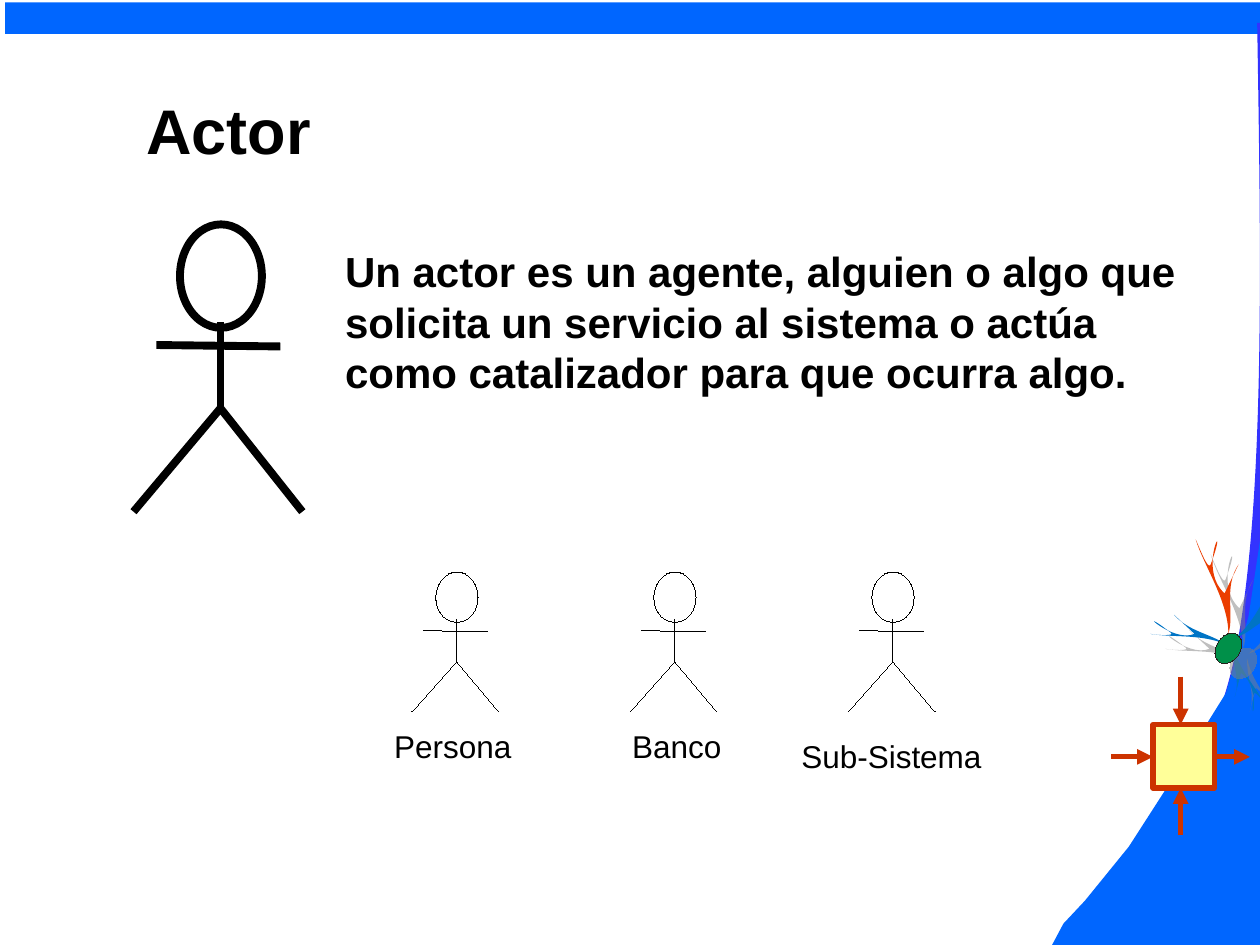
from collections import namedtuple
from dataclasses import dataclass
from math import cos, radians, sin

from lxml.etree import SubElement
from pptx import Presentation
from pptx.dml.color import RGBColor
from pptx.enum.shapes import MSO_CONNECTOR, MSO_SHAPE
from pptx.enum.text import MSO_ANCHOR, MSO_AUTO_SIZE
from pptx.oxml.ns import qn
from pptx.util import Pt

Box = namedtuple("Box", "left top width height")


@dataclass(frozen=True)
class Theme:
    """Colours, type sizes and line widths of the slide."""
    font: str = "Arial"
    ink: str = "000000"
    blue: str = "0066FF"
    violet: str = "3333FF"
    red: str = "CC3300"
    yellow: str = "FFFF99"
    orange: str = "EB3D00"
    petal: str = "0074C5"
    green: str = "009049"
    rim: str = "25221E"
    shade: str = "808080"
    title: int = 36
    body: int = 24
    label: int = 18
    bold_line: float = 4.5
    arrow_line: float = 3
    ribbon_line: float = 6
    hairline: float = 0


THEME = Theme()
TILT = 302.5

PETALS = [
    (THEME.orange, (33.3, 8.2), [
        (34.7, 11, 40.5, 26.9, 41.9, 22.6), (53.4, -9.1, 33.3, 24, 49.8, 39.1),
        (57.8, 22.6), (49.1, 35.5, 55.6, 50.6, 52, 62.2),
        (52, 43.4, 37.6, 22.6, 33.3, 8.2)]),
    (THEME.petal, (83.7, 21.8), [
        (83, 24, 74.3, 37, 79.4, 35.5), (113.9, 25.4, 70.7, 30.5, 71.4, 49.9),
        (91.6, 47), (75, 48.5, 67.1, 60.7, 54.9, 65),
        (70, 54.2, 75, 32.6, 83.7, 21.8)]),
    (THEME.petal, (7.4, 62.2), [
        (10.2, 62.9, 22.5, 63.6, 18.9, 61.4), (-3.4, 44.2, 19.6, 67.9, 32.6, 62.2),
        (21, 51.4), (29, 60.7, 41.9, 62.2, 49.8, 67.9),
        (36.2, 62.2, 18.9, 64.3, 7.4, 62.2)]),
    (THEME.petal, (75, 106.1), [
        (73.6, 103.9, 67.1, 93.1, 66.4, 96.7), (63.5, 121.2, 72.2, 93.8, 59.2, 84.5),
        (55.6, 98.2), (59.2, 88.1, 53.4, 77.3, 54.2, 67.9),
        (57, 82.3, 70, 95.3, 75, 106.1)]),
]


def set_line(line, colour, width):
    """Set the colour and width of a line, writing a zero width too."""
    line.color.rgb = RGBColor.from_string(colour)
    line._get_or_add_ln().set("w", str(Pt(width)))


def paint(shape, fill=None, line=None, width=0):
    """Set the fill and outline of a shape and remove its shadow."""
    shape.shadow.inherit = False
    if fill:
        shape.fill.solid()
        shape.fill.fore_color.rgb = RGBColor.from_string(fill)
    else:
        shape.fill.background()
    if line:
        set_line(shape.line, line, width)
    else:
        shape.line.fill.background()
    return shape


def cast_shadow(shape):
    """Give a shape a hard, half transparent shadow to the lower right."""
    effects = shape._element.spPr.find(qn("a:effectLst"))
    shadow = SubElement(effects, qn("a:outerShdw"), dist=str(Pt(12.1)),
                        dir="2700000", algn="ctr", rotWithShape="0")
    colour = SubElement(shadow, qn("a:srgbClr"), val=THEME.shade)
    SubElement(colour, qn("a:alpha"), val="50000")


def add_preset(page, kind, box, **style):
    """Add a painted preset shape."""
    return paint(page.shapes.add_shape(kind, *(Pt(value) for value in box)), **style)


def add_line(page, start, end, colour, width, arrow=False):
    """Add a straight line, with an arrowhead at its end if asked."""
    line = page.shapes.add_connector(
        MSO_CONNECTOR.STRAIGHT, *(Pt(value) for value in (*start, *end)))
    set_line(line.line, colour, width)
    if arrow:
        SubElement(line.line._get_or_add_ln(), qn("a:tailEnd"), type="triangle")
    SubElement(line._element.spPr, qn("a:effectLst"))


def turn(points, degrees):
    """Turn points clockwise about the zero point."""
    c, s = cos(radians(degrees)), sin(radians(degrees))
    return [(x * c - y * s, x * s + y * c) for x, y in points]


def pair_up(segment):
    """Split a flat segment into its points."""
    return list(zip(segment[::2], segment[1::2]))


def add_outline(page, box, start, segments, close=False, **style):
    """Add a freeform of lines (two numbers) and cubic curves (six numbers)."""
    points = [point for segment in segments for point in pair_up(segment)]
    spots = [(Pt(box.left + x), Pt(box.top + y)) for x, y in [start, *points]]
    builder = page.shapes.build_freeform(*spots[0])
    builder.add_line_segments(spots[1:], close=close)
    shape = builder.convert_to_shape()
    steps = iter(list(shape._element.iter(qn("a:lnTo"))))
    for segment in segments:
        first = next(steps)
        if len(segment) == 6:
            first.tag = qn("a:cubicBezTo")
            for step in (next(steps), next(steps)):
                first.append(step[0])
                step.getparent().remove(step)
    return paint(shape, **style)


def add_text(page, box, lines, size, bold=False, anchor=MSO_ANCHOR.TOP):
    """Add a text box with one paragraph for each line."""
    frame = page.shapes.add_textbox(*(Pt(value) for value in box)).text_frame
    frame.word_wrap = True
    frame.auto_size = MSO_AUTO_SIZE.SHAPE_TO_FIT_TEXT
    frame.vertical_anchor = anchor
    for index, line in enumerate(lines):
        para = frame.add_paragraph() if index else frame.paragraphs[0]
        span = para.add_run()
        span.text = line
        span.font.name = THEME.font
        span.font.size = Pt(size)
        span.font.bold = bold
        span.font.color.rgb = RGBColor.from_string(THEME.ink)


def add_actor(page, box, width):
    """Draw a stick figure that fills the box."""
    def at(x, y):
        return box.left + x * box.width, box.top + y * box.height

    add_line(page, at(0.515, 0.34), at(0.515, 0.64), THEME.ink, width)
    head = Box(*at(0.275, 0), 0.485 * box.width, 0.36 * box.height)
    add_preset(page, MSO_SHAPE.OVAL, head, line=THEME.ink, width=width)
    add_line(page, at(0.135, 0.42), at(0.87, 0.425), THEME.ink, width)
    add_outline(page, box, (0, box.height),
                [(0.515 * box.width, 0.64 * box.height), (box.width, box.height)],
                line=THEME.ink, width=width)


def add_examples(page, box):
    """Draw the row of named example actors."""
    labels = [("Persona", -17.3, 85, 118.8), ("Banco", -5.8, 85, 73.4),
              ("Sub-Sistema", -33.8, 90.7, 136.1)]
    pitch = (box.width - 49.7) / (len(labels) - 1)
    for index, (name, shift, drop, width) in enumerate(labels):
        left = box.left + index * pitch
        add_actor(page, Box(left, box.top, 49.7, box.height), THEME.hairline)
        add_text(page, Box(left + shift, box.top + drop, width, 28.8), [name], THEME.label)


def add_hill(page, box):
    """Draw the violet ribbon and the blue hill at the right edge."""
    add_outline(page, box, (121.4, 13), [
        (123.6, 147.6, 125.8, 282.2, 109.9, 368.6), (94.1, 454.3, 40.8, 501.8, 25, 529.2),
        (9.1, 557.3, 11.3, 545.8, 13.4, 535)], line=THEME.violet, width=THEME.ribbon_line)
    add_outline(page, box, (19.9, 514.8), [
        (45.1, 483.8), (69.6, 445.7), (100.6, 396), (113.5, 352.1), (119.3, 313.9),
        (125.8, 270.7), (125.8, 245.5), (125.8, box.height), (1.2, box.height),
        (7.7, 527.8)], close=True, fill=THEME.blue)


def add_process(page, box):
    """Draw the yellow square with its four arrows."""
    square = Box(box.left + 23.8, box.top + 27.4, 35.3, 36.3)
    right, bottom = square.left + square.width, square.top + square.height
    x, y = square.left + 15.9, square.top + 18.5
    add_preset(page, MSO_SHAPE.RECTANGLE, square, fill=THEME.yellow,
               line=THEME.red, width=THEME.arrow_line)
    for start, end in [((box.left, y), (square.left, y)),
                       ((right, y), (box.left + box.width, y)),
                       ((x, box.top), (x, square.top)),
                       ((x, box.top + box.height), (x, bottom))]:
        add_line(page, start, end, THEME.red, THEME.arrow_line, arrow=True)


def add_flower(page, box):
    """Draw the tilted petals and their green centre."""
    for colour, start, segments in PETALS:
        level = [turn(pair_up(segment), -TILT) for segment in [start, *segments]]
        middle = [(min(axis) + max(axis)) / 2 for axis in zip(*sum(level, []))]
        target = turn([middle], TILT)[0]
        place = Box(box.left + target[0] - middle[0], box.top + target[1] - middle[1], 0, 0)
        flat = [sum(segment, ()) for segment in level]
        petal = add_outline(page, place, flat[0], flat[1:], fill=colour)
        petal.rotation = TILT
        cast_shadow(petal)
    centre = add_preset(page, MSO_SHAPE.OVAL, Box(box.left + 42.6, box.top + 63.6, 18.7, 13.7),
                        fill=THEME.green, line=THEME.rim, width=THEME.hairline)
    centre.rotation = TILT
    cast_shadow(centre)


def main():
    """Build the slide and save it."""
    deck = Presentation()
    deck.slide_width, deck.slide_height = Pt(720), Pt(540)
    page = deck.slides.add_slide(deck.slide_layouts[6])
    add_actor(page, Box(76.3, 128.2, 96.5, 164.2), THEME.bold_line)
    add_text(page, Box(190.1, 136.8, 499, 93.6),
             ["Un actor es un agente, alguien o algo que",
              "solicita un servicio al sistema o actúa como catalizador para que ocurra algo."],
             THEME.body, bold=True, anchor=MSO_ANCHOR.MIDDLE)
    add_examples(page, Box(235.4, 326.9, 298.9, 79.9))
    add_preset(page, MSO_SHAPE.RECTANGLE, Box(2.9, 1.4, 720, 18), fill=THEME.blue)
    add_hill(page, Box(600, 0, 120, 540))
    add_process(page, Box(635, 386.6, 79.2, 90.7))
    add_flower(page, Box(650, 300, 70, 110))
    add_text(page, Box(76.6, 49, 116, 50.4), ["Actor"], THEME.title, bold=True)
    deck.save("out.pptx")


if __name__ == "__main__":
    main()
